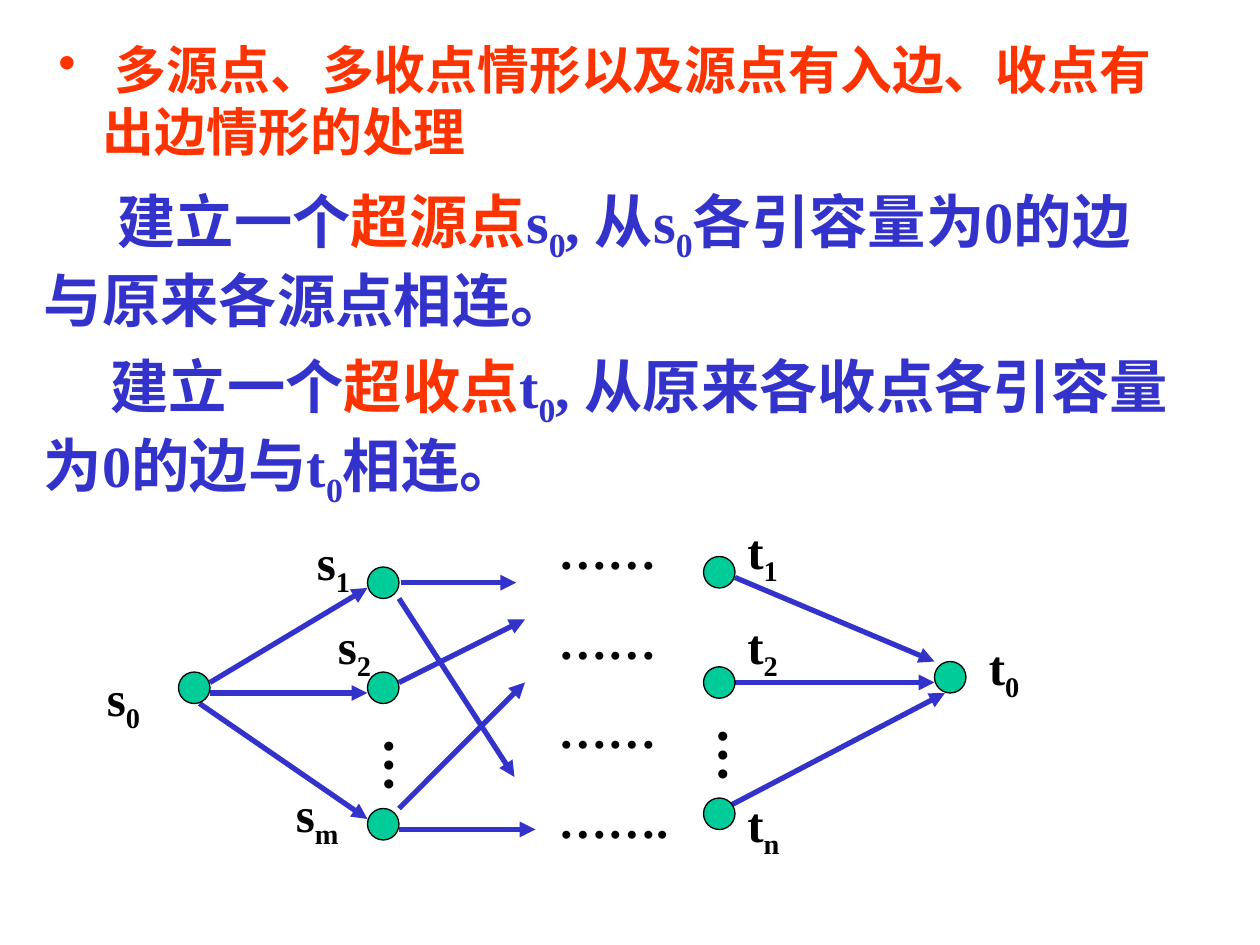
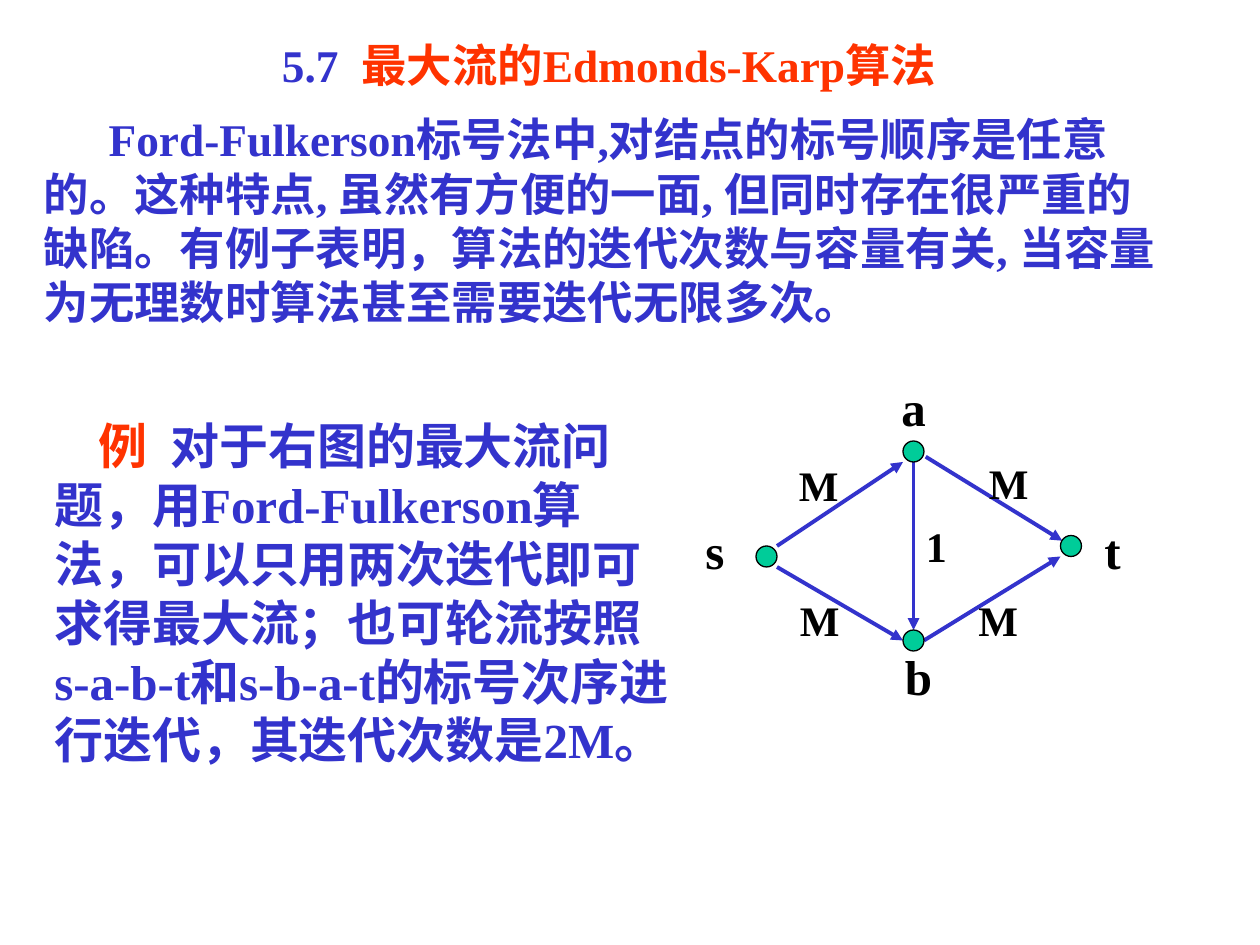
from dataclasses import dataclass
from typing import Any, NamedTuple

from lxml.etree import SubElement
from pptx import Presentation
from pptx.dml.color import RGBColor
from pptx.enum.shapes import MSO_CONNECTOR, MSO_SHAPE
from pptx.enum.text import PP_ALIGN
from pptx.oxml.ns import qn
from pptx.util import Pt


# Theme
@dataclass(frozen=True)
class Theme:
    font: str = "Times New Roman"
    blue: str = "3333CC"
    red: str = "FF3300"
    green: str = "00CC99"
    black: str = "000000"
    bullet: float = 29.6
    lead: float = 33.3
    body: float = 25.9
    label: float = 28
    weight: float = 24
    dots: float = 32


T = Theme()


class Span(NamedTuple):
    text: str
    color: str = T.blue
    sub: bool = False
    spacing: float = 0


class Para(NamedTuple):
    spans: list[Span]
    size: float
    before: float = 0
    left: float = 0
    indent: float = 0
    align: PP_ALIGN = PP_ALIGN.LEFT
    bullet: str = ""


class Box(NamedTuple):
    x: float
    y: float
    w: float
    h: float


class Label(NamedTuple):
    x: float
    y: float
    text: str
    sub: str = ""
    size: float = T.label
    w: float = 42
    h: float = 45


class Arrow(NamedTuple):
    x1: float
    y1: float
    x2: float
    y2: float


# Drawing helpers
def apply(target: Any, values: dict[str, Any]) -> None:
    for name, value in values.items():
        setattr(target, name, value)


def add_para(p: Any, para: Para) -> None:
    pPr = p._p.get_or_add_pPr()
    pPr.set("marL", str(Pt(para.left)))
    pPr.set("indent", str(Pt(para.indent)))
    pPr.set("hangingPunct", "0")
    if para.bullet:
        color = SubElement(pPr, qn("a:buClr"))
        SubElement(color, qn("a:srgbClr"), val=para.spans[0].color)
        SubElement(pPr, qn("a:buChar"), char=para.bullet)
    apply(p, {"alignment": para.align, "space_before": Pt(para.before)})
    for span in para.spans:
        r = p.add_run()
        r.text = span.text
        apply(r.font, {"name": T.font, "size": Pt(para.size), "bold": True})
        r.font.color.rgb = RGBColor.from_string(span.color)
        rPr = r._r.get_or_add_rPr()
        if span.sub:
            rPr.set("baseline", "-25000")
        if span.spacing:
            rPr.set("spc", str(round(span.spacing * 100)))


def add_text(s: Any, box: Box, paras: list[Para], vertical: bool = False) -> None:
    tf = s.shapes.add_textbox(*map(Pt, box)).text_frame
    side, top = (3.6, 7.2) if vertical else (7.2, 3.6)
    apply(tf, {"word_wrap": True, "margin_left": Pt(side), "margin_right": Pt(side),
               "margin_top": Pt(top), "margin_bottom": Pt(top)})
    if vertical:
        tf._txBody.bodyPr.set("vert", "eaVert")
    for i, para in enumerate(paras):
        add_para(tf.add_paragraph() if i else tf.paragraphs[0], para)


def add_label(s: Any, label: Label) -> None:
    spans = [Span(label.text, T.black)]
    if label.sub:
        spans.append(Span(label.sub, T.black, sub=True))
    add_text(s, Box(label.x, label.y, label.w, label.h), [Para(spans, label.size)])


def add_node(s: Any, x: float, y: float, size: float) -> None:
    sp = s.shapes.add_shape(MSO_SHAPE.OVAL, Pt(x), Pt(y), Pt(size), Pt(size))
    sp.shadow.inherit = False
    sp.fill.solid()
    sp.fill.fore_color.rgb = RGBColor.from_string(T.green)
    sp.line.color.rgb = RGBColor.from_string(T.black)
    sp.line.width = Pt(0.75)


def add_arrow(s: Any, arrow: Arrow, width: float) -> None:
    c = s.shapes.add_connector(MSO_CONNECTOR.STRAIGHT, *map(Pt, arrow))
    c.line.color.rgb = RGBColor.from_string(T.blue)
    c.line.width = Pt(width)
    SubElement(c.line._get_or_add_ln(), qn("a:tailEnd"), type="triangle")
    SubElement(c._element.spPr, qn("a:effectLst"))


def add_graph(s: Any, nodes: list[tuple[float, float]], node_size: float,
              arrows: list[Arrow], line_width: float, labels: list[Label]) -> None:
    for arrow in arrows:
        add_arrow(s, arrow, line_width)
    for x, y in nodes:
        add_node(s, x, y, node_size)
    for label in labels:
        add_label(s, label)


# Slide 1: super source and super sink
def super_nodes_slide(s: Any) -> None:
    add_text(s, Box(18, 18, 660, 288), [
        Para([Span(" 多源点、多收点情形以及源点有入边、收点有出边情形的处理", T.red)],
             T.bullet, left=33.75, indent=-25.5, bullet="•"),
        Para([Span("建立一个"), Span("超源点", T.red), Span("s"), Span("0", sub=True),
              Span(", 从s"), Span("0", sub=True),
              Span("各引容量为0的边与原来各源点相连。")],
             T.lead, before=13, indent=42),
        Para([Span("建立一个"), Span("超收点", T.red), Span("t"), Span("0", sub=True),
              Span(", 从原来各收点各引容量为0的边与t"), Span("0", sub=True),
              Span("相连。")],
             T.lead, before=9, indent=38),
    ])
    add_graph(
        s,
        nodes=[(102, 384), (210, 324), (210, 384), (210, 462),
               (402, 318), (402, 381), (402, 456), (534, 378)],
        node_size=18,
        arrows=[Arrow(120, 390, 210, 336), Arrow(120, 396, 210, 396),
                Arrow(114, 402, 210, 468),
                Arrow(420, 330, 534, 378), Arrow(420, 390, 534, 390),
                Arrow(414, 462, 540, 396),
                Arrow(229, 333, 295, 333), Arrow(228, 342, 294, 444),
                Arrow(228, 390, 300, 354), Arrow(228, 462, 300, 390),
                Arrow(228, 474, 306, 474)],
        line_width=3,
        labels=[Label(54, 378, "s", "0"), Label(174, 300, "s", "1"),
                Label(186, 348, "s", "2"), Label(162, 444, "s", "m"),
                Label(558, 360, "t", "0"), Label(420, 294, "t", "1"),
                Label(420, 348, "t", "2"), Label(420, 450, "t", "n")],
    )
    # Omitted vertices and paths
    for x, y in [(203.5, 414.5), (394.5, 408.5)]:
        add_text(s, Box(x, y, 52.5, 48),
                 [Para([Span("…", T.black)], T.dots, align=PP_ALIGN.CENTER)], vertical=True)
    add_text(s, Box(312, 294, 96, 194),
             [Para([Span(dots, T.black)], T.label, before=17.5 if i else 0)
              for i, dots in enumerate(["……"] * 3 + ["……."])])


# Slide 2: Edmonds-Karp algorithm
def edmonds_karp_slide(s: Any) -> None:
    add_text(s, Box(18, 18, 660, 210), [
        Para([Span("5.7"), Span(" ", spacing=6.5),
              Span("最大流的Edmonds-Karp算法", T.red)], T.body, align=PP_ALIGN.CENTER),
        Para([Span("Ford-Fulkerson标号法中,对结点的标号顺序是任意的。这种特点, "
                   "虽然有方便的一面, 但同时存在很严重的缺陷。有例子表明，"
                   "算法的迭代次数与容量有关, 当容量为无理数时算法甚至需要迭代无限多次。")],
             T.body, before=11, indent=37),
    ])
    weights = [(449.5, 259), (558, 258), (450, 336), (552, 336)]
    vertices = [("s", 396, 294), ("t", 624, 294), ("a", 508, 212), ("b", 510, 366)]
    add_graph(
        s,
        nodes=[(432, 312), (516, 252), (606, 306), (516, 360)],
        node_size=12,
        arrows=[Arrow(444, 312, 516, 264), Arrow(444, 324, 516, 366),
                Arrow(529, 261, 607, 309), Arrow(528, 366, 606, 318),
                Arrow(522, 264, 522, 360)],
        line_width=2.25,
        labels=[Label(x, y, name, w=30, h=41) for name, x, y in vertices]
        + [Label(x, y, "M", size=T.weight, h=36) for x, y in weights]
        + [Label(522, 294, "1", size=T.weight, w=30, h=36)],
    )
    add_text(s, Box(24, 234, 366, 243), [
        Para([Span("例", T.red), Span(" ", spacing=7),
              Span("对于右图的最大流问题，用Ford-Fulkerson算法，可以只用两次迭代即可求得最大流；"
                   "也可轮流按照s-a-b-t和s-b-a-t的标号次序进行迭代，其迭代次数是2M。")],
             T.label, indent=25),
    ])


def main() -> None:
    prs = Presentation()
    apply(prs, {"slide_width": Pt(720), "slide_height": Pt(540)})
    for build in (super_nodes_slide, edmonds_karp_slide):
        build(prs.slides.add_slide(prs.slide_layouts[6]))
    prs.save("out.pptx")


if __name__ == "__main__":
    main()
